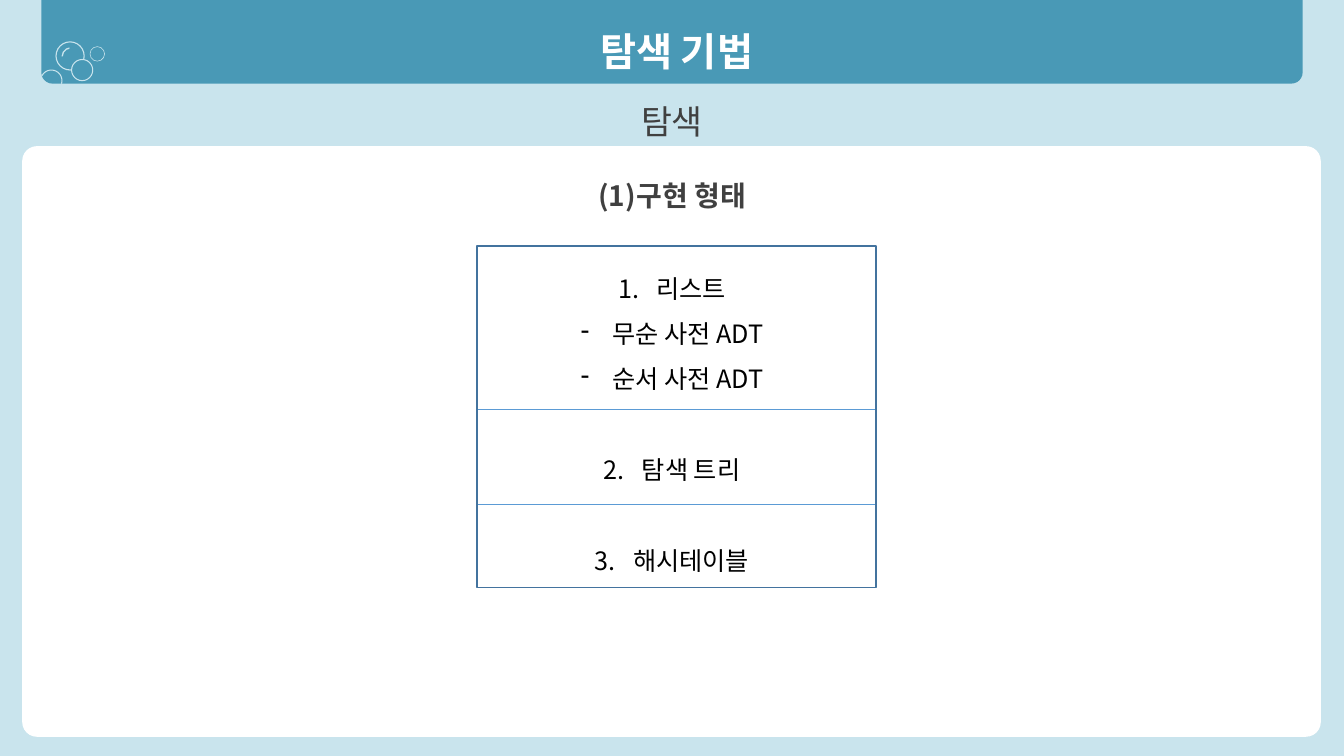
from math import cos, radians, sin

from lxml import etree
from pptx import Presentation
from pptx.dml.color import RGBColor
from pptx.enum.shapes import MSO_CONNECTOR, MSO_SHAPE
from pptx.enum.text import MSO_AUTO_SIZE, PP_ALIGN
from pptx.oxml.ns import qn
from pptx.util import Inches, Pt

FONT = "Noto Sans CJK KR"
PALE = RGBColor(0xC9, 0xE4, 0xED)
TEAL = RGBColor(0x49, 0x99, 0xB6)
WHITE = RGBColor(0xFF, 0xFF, 0xFF)
BLACK = RGBColor(0x00, 0x00, 0x00)
GREY = RGBColor(0x40, 0x40, 0x40)
RULE = RGBColor(0x5B, 0x9B, 0xD5)
FRAME = RGBColor(0x43, 0x73, 0x9E)
CENTER = PP_ALIGN.CENTER
FIT_SHAPE = MSO_AUTO_SIZE.SHAPE_TO_FIT_TEXT
STRAIGHT = MSO_CONNECTOR.STRAIGHT
RECT = MSO_SHAPE.RECTANGLE
ROUND = MSO_SHAPE.ROUNDED_RECTANGLE
ROUND_TWO = MSO_SHAPE.ROUND_2_SAME_RECTANGLE
DONUT = MSO_SHAPE.DONUT
ARC = MSO_SHAPE.BLOCK_ARC
OVAL = MSO_SHAPE.OVAL
LEADING = 1.8

prs = Presentation()
prs.slide_width, prs.slide_height = Inches(13.33), Inches(7.5)
s = prs.slides.add_slide(prs.slide_layouts[6])
s.background.fill.solid()
s.background.fill.fore_color.rgb = PALE

band_x, band_w = 0.41, 12.51
backdrop = [
    (ROUND, (0.22, 1.45, 12.88, 5.86), [0.025], WHITE),
    (ROUND_TWO, (band_x, 0, band_w, 0.83), [0, 0.134], TEAL),
    (DONUT, (0.55, 0.41, 0.29, 0.29), [0.038], PALE),
    (ARC, (0.61, 0.47, 0.18, 0.18), [108, 157.413, 0.076], PALE),
    (OVAL, (0.71, 0.59, 0.21, 0.21), [], TEAL),
    (DONUT, (0.89, 0.46, 0.15, 0.15), [0.038], PALE),
]
for kind, box, adjustments, color in backdrop:
    sp = s.shapes.add_shape(kind, *map(Inches, box))
    sp.shadow.inherit = False
    for i, value in enumerate(adjustments):
        sp.adjustments[i] = value
    sp.fill.solid()
    sp.fill.fore_color.rgb = color
    if kind == OVAL:
        sp.line.color.rgb = PALE
        sp.line.width = Pt(0.75)
    else:
        sp.line.fill.background()

bubble_x, bubble_y = 0.51, 0.8
angles = range(153, -18, -10)
rim = [(0.11, a) for a in angles] + [(0.1, a) for a in reversed(angles)]
points = [(Inches(bubble_x + radius * cos(radians(a))),
           Inches(bubble_y - radius * sin(radians(a)))) for radius, a in rim]
builder = s.shapes.build_freeform(*points[0])
builder.add_line_segments(points[1:], close=True)
sp = builder.convert_to_shape()
sp.shadow.inherit = False
sp.fill.solid()
sp.fill.fore_color.rgb = PALE
sp.line.fill.background()

NUMBER = ("buAutoNum", {"type": "arabicPeriod"})
NUMBER_FROM_2 = ("buAutoNum", {"type": "arabicPeriod", "startAt": "2"})
PARENS = ("buAutoNum", {"type": "arabicParenBoth"})
DASH = ("buChar", {"char": "-"})
gap = 18 * LEADING
texts = [
    ((band_x, 1.56, band_w, 4.7), [
        ("구현 형태", 20, GREY, True, PARENS, 0.38, 0),
        ("리스트", 18, BLACK, False, NUMBER, 0.38, gap),
        ("무순 사전 ADT", 18, BLACK, False, DASH, 0.31, 0),
        ("순서 사전 ADT", 18, BLACK, False, DASH, 0.31, 0),
        ("탐색 트리", 18, BLACK, False, NUMBER_FROM_2, 0.38, gap),
        ("해시테이블", 18, BLACK, False, NUMBER_FROM_2, 0.38, gap),
    ]),
    ((band_x, 0.75, band_w, 0.63), [("탐색", 24, GREY, False, None, 0, 0)]),
    ((2.3, -0.01, 8.82, 0.72), [("탐색 기법", 28, WHITE, True, None, 0, 0)]),
]
for box, paragraphs in texts:
    tf = s.shapes.add_textbox(*map(Inches, box)).text_frame
    tf.word_wrap = True
    tf.auto_size = FIT_SHAPE
    for i, (text, size, color, bold, bullet, indent, before) in enumerate(paragraphs):
        p = tf.add_paragraph() if i else tf.paragraphs[0]
        p.alignment = CENTER
        p.line_spacing = Pt(size * LEADING)
        p.space_before = Pt(before)
        if bullet:
            pPr = p._p.get_or_add_pPr()
            pPr.set("marL", str(Inches(indent)))
            pPr.set("indent", str(-Inches(indent)))
            tag, attributes = bullet
            etree.SubElement(pPr, qn("a:" + tag), attributes)
        r = p.add_run()
        r.text = text
        r.font.name = FONT
        r.font.size = Pt(size)
        r.font.bold = bold
        r.font.color.rgb = color
        etree.SubElement(r._r.get_or_add_rPr(), qn("a:ea"), {"typeface": FONT})

frame_x, frame_y, frame_w, frame_h = 4.73, 2.44, 3.96, 3.39
for y in (4.06, 5):
    rule = s.shapes.add_connector(STRAIGHT, Inches(frame_x), Inches(y),
                                  Inches(frame_x + frame_w), Inches(y))
    rule.line.color.rgb = RULE
    rule.line.width = Pt(0.5)
    etree.SubElement(rule._element.spPr, qn("a:effectLst"))

frame = s.shapes.add_shape(RECT, *map(Inches, (frame_x, frame_y, frame_w, frame_h)))
frame.shadow.inherit = False
frame.fill.background()
frame.line.color.rgb = FRAME
frame.line.width = Pt(1)

prs.save("out.pptx")
